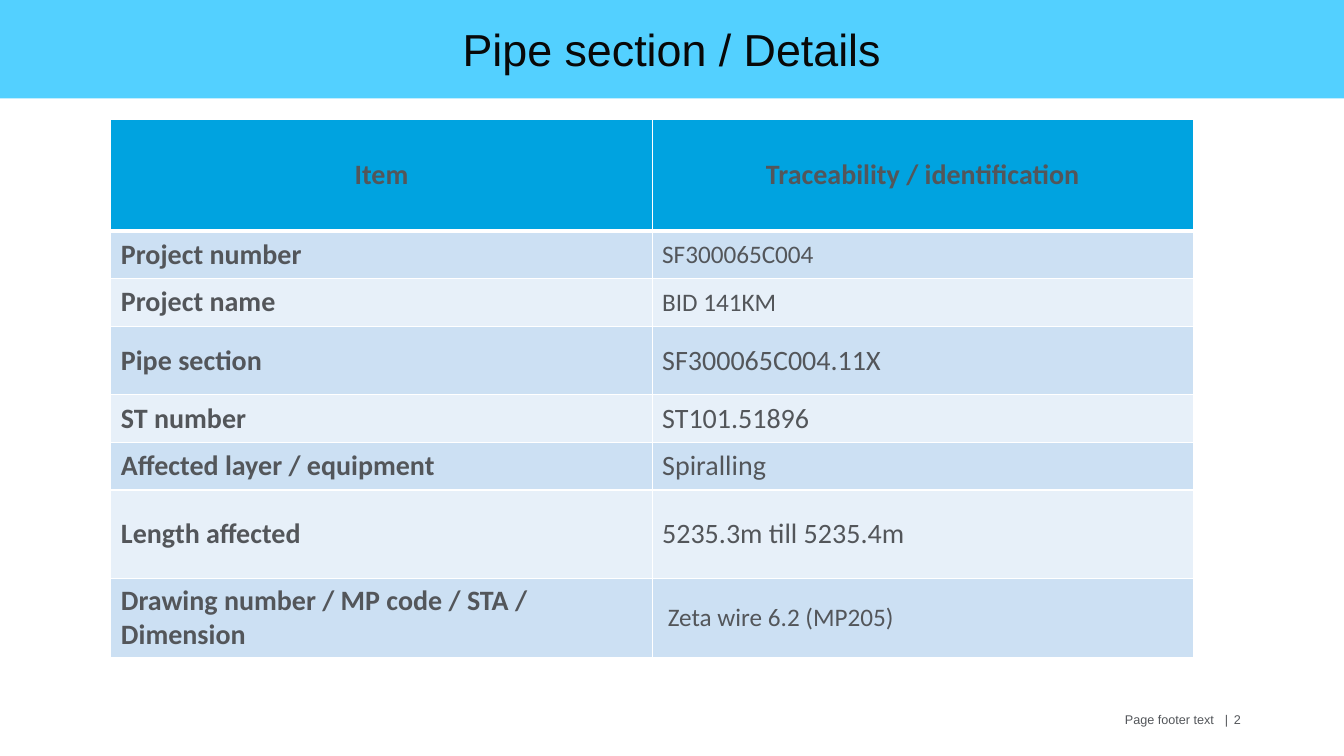
from dataclasses import dataclass

from lxml.etree import SubElement
from pptx import Presentation
from pptx.dml.color import RGBColor as Rgb
from pptx.enum.shapes import MSO_SHAPE as Shape
from pptx.enum.text import MSO_ANCHOR as Anchor, PP_ALIGN as Align
from pptx.oxml import parse_xml
from pptx.oxml.ns import nsdecls, qn
from pptx.util import Pt


@dataclass(frozen=True)
class Theme:
    """Colours, fonts and type sizes of the slide."""
    sky: str = "53D0FF"
    blue: str = "00A3E0"
    dark: str = "CCE0F3"
    light: str = "E7F0F9"
    white: str = "FFFFFF"
    black: str = "080808"
    grey: str = "53565A"
    sans: str = "Arial"
    body: str = "Calibri"
    title: int = 32
    large: int = 20
    mid: int = 18
    small: int = 9


THEME = Theme()
HEADS = ("Item", "Traceability / identification")
ROWS = (
    ("Project number", "SF300065C004", THEME.mid, 34),
    ("Project name", "BID 141KM", THEME.mid, 34),
    ("Pipe section", "SF300065C004.11X", THEME.large, 49),
    ("ST number", "ST101.51896", THEME.large, 34),
    ("Affected layer / equipment", "Spiralling", THEME.large, 34),
    ("Length affected", "5235.3m till 5235.4m", THEME.large, 63.5),
    ("Drawing number / MP code / STA / Dimension", "Zeta wire 6.2 (MP205)",
     THEME.mid, 56),
)


def style(para, face, size, color, bold=False, align=Align.LEFT):
    """Set the font and alignment of a paragraph."""
    para.alignment = align
    font = para.font
    font.name, font.size, font.bold = face, Pt(size), bold
    font.color.rgb = Rgb.from_string(color)


def edge(cell, top, base):
    """Draw white borders round a cell, given top and base widths."""
    props = cell._tc.get_or_add_tcPr()
    sides = (("L", 1), ("R", 1), ("T", top), ("B", base))
    for spot, (side, width) in enumerate(sides):
        props.insert(spot, parse_xml(
            f'<a:ln{side} {nsdecls("a")} w="{Pt(width)}"><a:solidFill>'
            f'<a:srgbClr val="{THEME.white}"/></a:solidFill></a:ln{side}>'))


def fill_cell(cell, text, size, fill, bold, align=Align.LEFT):
    """Write one cell and colour it."""
    cell.text = text
    cell.vertical_anchor = Anchor.MIDDLE
    cell.fill.solid()
    cell.fill.fore_color.rgb = Rgb.from_string(fill)
    style(cell.text_frame.paragraphs[0], THEME.body, size, THEME.grey,
          bold, align)


def add_title(slide, left, top, width, height):
    """Place the title band."""
    band = slide.shapes.add_shape(
        Shape.RECTANGLE, Pt(left), Pt(top), Pt(width), Pt(height))
    band.shadow.inherit = False
    band.fill.solid()
    band.fill.fore_color.rgb = Rgb.from_string(THEME.sky)
    band.line.fill.background()
    frame = band.text_frame
    frame.text = "Pipe section / Details"
    frame.vertical_anchor = Anchor.MIDDLE
    style(frame.paragraphs[0], THEME.sans, THEME.title, THEME.black,
          align=Align.CENTER)


def add_grid(slide, left, top, width, height):
    """Place the table; the header takes the height the rows leave."""
    table = slide.shapes.add_table(
        len(ROWS) + 1, 2, Pt(left), Pt(top), Pt(width), Pt(height)).table
    for col in table.columns:
        col.width = Pt(width / 2)
    table.rows[0].height = Pt(height - sum(row[3] for row in ROWS))
    for cell, head in zip(table.rows[0].cells, HEADS):
        fill_cell(cell, head, THEME.large, THEME.blue, True, Align.CENTER)
        edge(cell, 1, 3)
    for num, (item, value, size, tall) in enumerate(ROWS, 1):
        table.rows[num].height = Pt(tall)
        fill = THEME.dark if num % 2 else THEME.light
        fill_cell(table.cell(num, 0), item, THEME.large, fill, True)
        fill_cell(table.cell(num, 1), value, size, fill, False)
        for cell in table.rows[num].cells:
            edge(cell, 3 if num == 1 else 1, 1)
    table.cell(len(ROWS), 1).margin_left = Pt(11.2)


def add_foot(slide, left, top, width, height):
    """Place the footer with its page number on tab stops."""
    frame = slide.shapes.add_textbox(
        Pt(left), Pt(top), Pt(width), Pt(height)).text_frame
    frame.word_wrap = True
    frame.margin_left = frame.margin_right = 0
    frame.text = "Page footer text\t|\t2"
    para = frame.paragraphs[0]
    tabs = SubElement(para._p.get_or_add_pPr(), qn("a:tabLst"))
    for stop in (71.5, 77.8):
        SubElement(tabs, qn("a:tab"), pos=str(Pt(stop)), algn="l")
    style(para, THEME.sans, THEME.small, THEME.grey)


def main():
    """Build and save the slide."""
    deck = Presentation()
    deck.slide_width, deck.slide_height = Pt(960), Pt(540)
    slide = deck.slides.add_slide(deck.slide_layouts[6])
    add_foot(slide, 803.5, 504.7, 90.5, 28.8)
    add_grid(slide, 79.2, 85, 773.2, 384.5)
    add_title(slide, 0, -0.7, 960, 71)
    deck.save("out.pptx")


if __name__ == "__main__":
    main()
